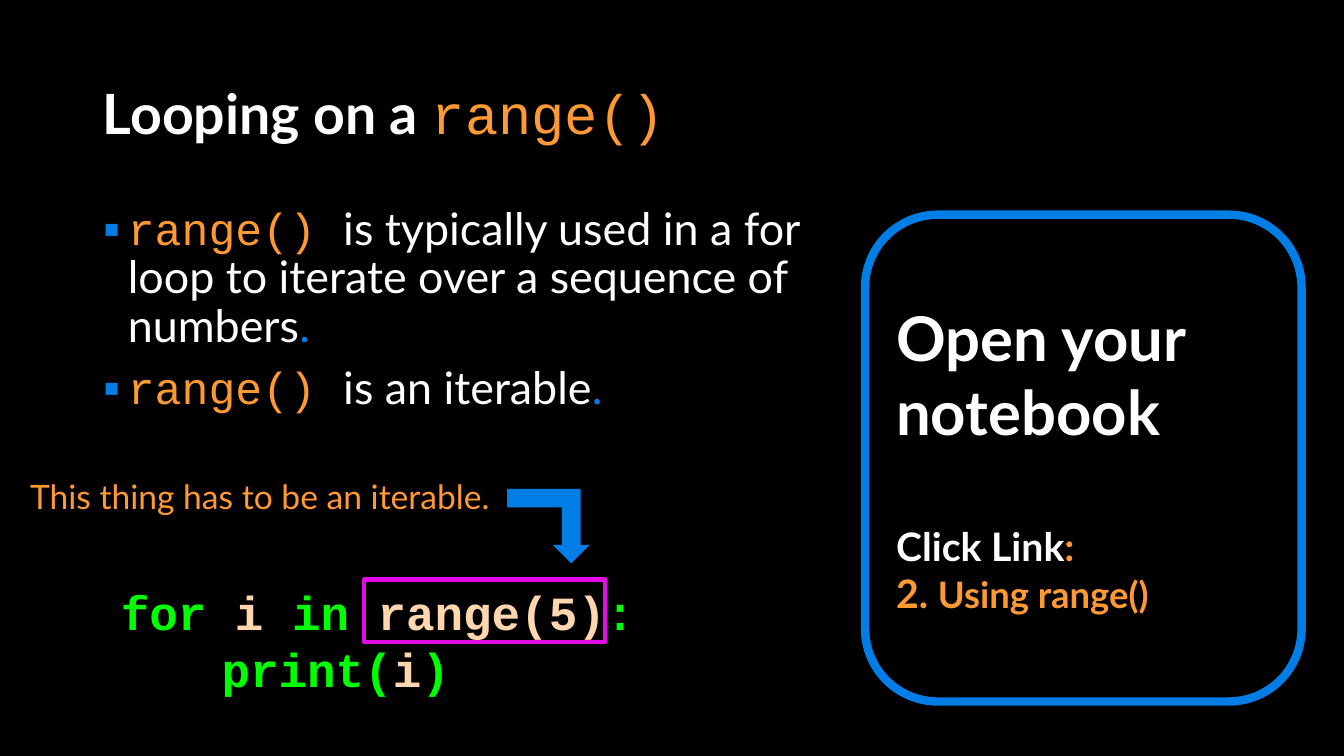
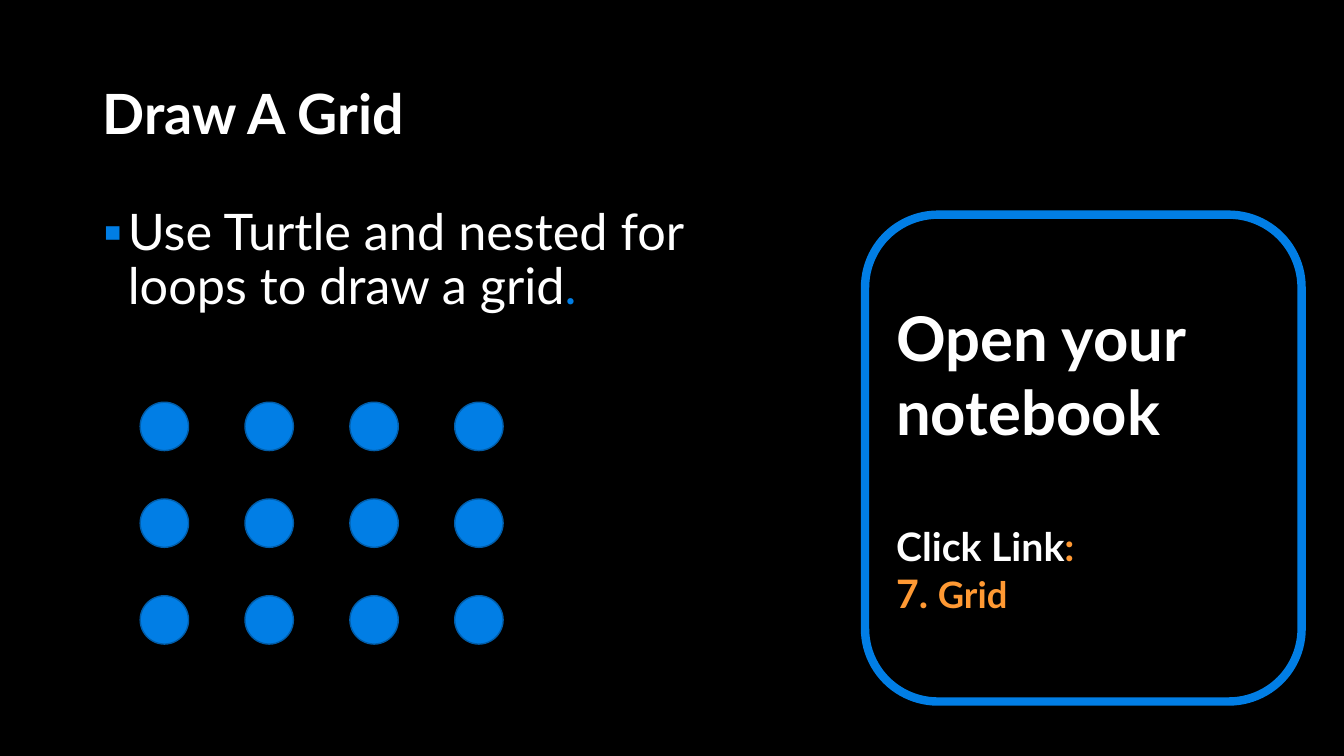
from dataclasses import dataclass
from typing import NamedTuple

from lxml.etree import SubElement
from pptx import Presentation
from pptx.dml.color import RGBColor
from pptx.enum.shapes import MSO_SHAPE
from pptx.enum.text import MSO_ANCHOR, MSO_AUTO_SIZE, PP_ALIGN
from pptx.oxml.ns import qn
from pptx.presentation import Presentation as Deck
from pptx.shapes.autoshape import Shape
from pptx.slide import Slide
from pptx.text.text import TextFrame
from pptx.util import Pt

PX = 9144  # EMU, so 100 px to the inch


@dataclass(frozen=True)
class Theme:
    back: str = "000000"
    text: str = "FFFFFF"
    blue: str = "017EE5"
    bullet: str = "007EE5"
    rim: str = "015DA9"
    orange: str = "FF9933"
    green: str = "00FF00"
    peach: str = "FFD6AD"
    pink: str = "E00BE5"
    sans: str = "Lato"
    mono: str = "Courier New"
    title: float = 39.6
    big: int = 44
    link: int = 28
    topic: int = 26
    body: int = 32
    large: int = 36
    code: int = 34
    note: int = 24


T = Theme()


class Box(NamedTuple):
    x: int
    y: int
    w: int
    h: int

    def emu(self) -> tuple[int, ...]:
        return tuple(n * PX for n in self)


class Bit(NamedTuple):
    text: str
    size: float
    color: str = T.text
    font: str = T.sans
    bold: bool = False


@dataclass(frozen=True)
class Line:
    bits: list[Bit]
    space: float = 0
    pitch: float = 1.0
    left: int = 0
    hang: int = 0
    mark: str = ""


TITLE = Box(92, 80, 1150, 72)
PANEL = Box(858, 213, 433, 483)


def write(frame: TextFrame, lines: list[Line]) -> None:
    for n, line in enumerate(lines):
        para = frame.add_paragraph() if n else frame.paragraphs[0]
        para.alignment = PP_ALIGN.LEFT
        para.line_spacing = line.pitch
        para.space_before = Pt(line.space)
        props = para._p.get_or_add_pPr()
        props.set("marL", str(line.left * PX))
        props.set("indent", str(-line.hang * PX))
        if line.mark:
            tint = SubElement(props, qn("a:buClr"))
            SubElement(tint, qn("a:srgbClr"), val=T.bullet)
            SubElement(props, qn("a:buFont"), typeface=T.sans)
            SubElement(props, qn("a:buChar"), char=line.mark)
        for bit in line.bits:
            run = para.add_run()
            run.text = bit.text
            font = run.font
            font.name, font.size, font.bold = bit.font, Pt(bit.size), bit.bold
            font.color.rgb = RGBColor.from_string(bit.color)


def add_text(slide: Slide, box: Box, lines: list[Line], wrap: bool = True) -> None:
    frame = slide.shapes.add_textbox(*box.emu()).text_frame
    frame.word_wrap = wrap
    frame.auto_size = MSO_AUTO_SIZE.NONE if wrap else MSO_AUTO_SIZE.SHAPE_TO_FIT_TEXT
    write(frame, lines)


def add_form(slide: Slide, kind: MSO_SHAPE, box: Box, fill: str = "",
             line: str = "", width: int = 0) -> Shape:
    """Draw a preset shape; an empty colour means none."""
    shape = slide.shapes.add_shape(kind, *box.emu())
    shape.shadow.inherit = False
    for paint, color in ((shape.fill, fill), (shape.line.fill, line)):
        if color:
            paint.solid()
            paint.fore_color.rgb = RGBColor.from_string(color)
        else:
            paint.background()
    if line:
        shape.line.width = Pt(width)
    return shape


def add_panel(slide: Slide, number: str, topic: str) -> None:
    shape = add_form(slide, MSO_SHAPE.ROUNDED_RECTANGLE, PANEL, line=T.blue, width=6)
    frame = shape.text_frame
    frame.word_wrap = True
    frame.vertical_anchor = MSO_ANCHOR.MIDDLE
    write(frame, [
        Line([Bit("Open your notebook", T.big, bold=True)]),
        Line([Bit("Click Link", T.link, bold=True),
              Bit(":", T.link, T.orange, bold=True)], space=T.big * 1.2),
        Line([Bit(number, T.link, T.orange, bold=True),
              Bit(topic, T.topic, T.orange, bold=True)]),
    ])


def add_slide(deck: Deck, title: list[Bit], number: str, topic: str) -> Slide:
    """Start a slide with its title and notebook panel."""
    slide = deck.slides.add_slide(deck.slide_layouts[5])
    head = slide.shapes.title
    head.left, head.top, head.width, head.height = TITLE.emu()
    head.text_frame.vertical_anchor = MSO_ANCHOR.MIDDLE
    write(head.text_frame, [Line(title, pitch=0.9)])
    add_panel(slide, number, topic)
    return slide


def point(text: str, size: int, lead: str = "") -> Line:
    """Make a bullet line with a blue full stop."""
    bits = [Bit(lead, size, T.orange, T.mono)] if lead else []
    bits += [Bit(text, size), Bit(".", size, T.blue)]
    return Line(bits, space=10, pitch=0.9, left=25, hang=25, mark="▪")


def code(text: str, color: str = T.green) -> Bit:
    return Bit(text, T.code, color, T.mono, True)


def draw_range(deck: Deck) -> None:
    title = [Bit("Looping on a ", T.title, bold=True),
             Bit("range()", T.title, T.orange, T.mono)]
    slide = add_slide(deck, title, "2. ", "Using range()")
    add_text(slide, Box(92, 200, 723, 252), [
        point("is typically used in a for loop to iterate over a sequence of numbers",
              T.body, "range() "),
        point("is an iterable", T.body, "range() "),
    ])
    add_text(slide, Box(110, 573, 535, 125), [
        Line([code("for "), code("i", T.peach), code(" in "),
              code("range(5)", T.peach), code(":")]),
        Line([code("print("), code("i", T.peach), code(")")], left=100),
    ], wrap=False)
    add_form(slide, MSO_SHAPE.RECTANGLE, Box(361, 575, 239, 62), line=T.pink, width=3)
    add_text(slide, Box(20, 467, 487, 50),
             [Line([Bit("This thing has to be an iterable.", T.note, T.orange)])],
             wrap=False)
    arrow = add_form(slide, MSO_SHAPE.BENT_UP_ARROW, Box(503, 485, 82, 74), fill=T.blue)
    arrow.element.spPr.find(qn("a:xfrm")).set("flipV", "1")


def draw_grid(deck: Deck) -> None:
    slide = add_slide(deck, [Bit("Draw A Grid", T.title, bold=True)], "7. ", "Grid")
    add_text(slide, Box(92, 200, 710, 151),
             [point("Use Turtle and nested for loops to draw a grid", T.large)])
    for col in range(4):
        for row in range(3):
            dot = Box(139 + 104 * col, 399 + 96 * row, 48, 48)
            add_form(slide, MSO_SHAPE.OVAL, dot, T.blue, T.rim, 1)


def main() -> None:
    deck = Presentation()
    deck.slide_width, deck.slide_height = 1333 * PX, 750 * PX
    back = deck.slide_master.background.fill
    back.solid()
    back.fore_color.rgb = RGBColor.from_string(T.back)
    draw_range(deck)
    draw_grid(deck)
    deck.save("out.pptx")


if __name__ == "__main__":
    main()
